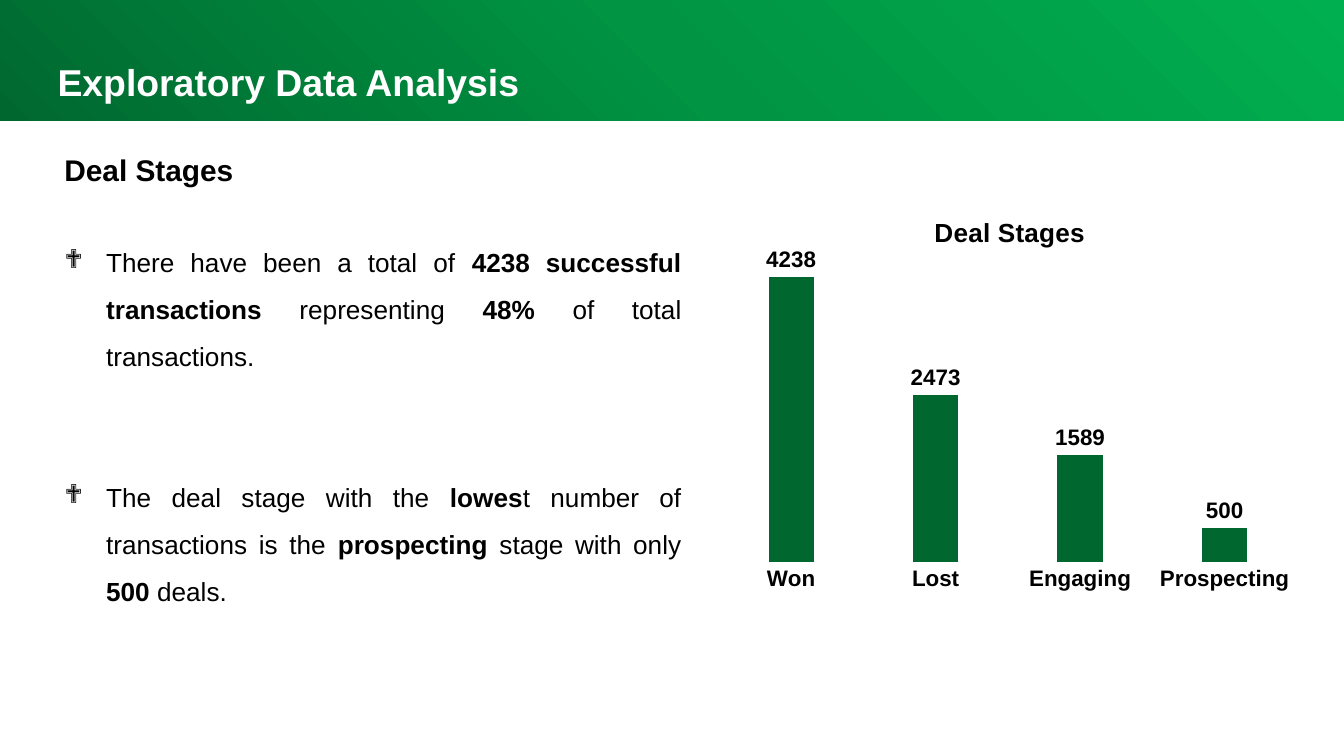
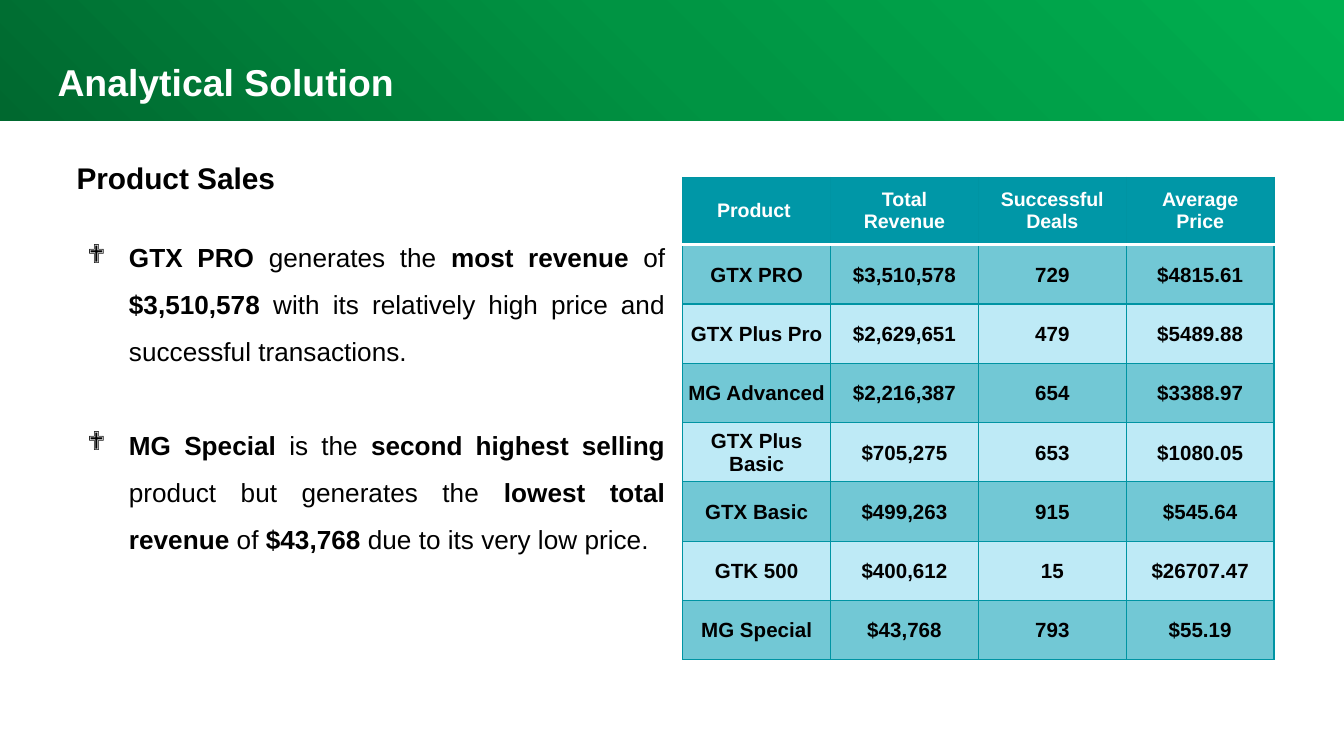
from pptx import Presentation
from pptx import util as u
from pptx.chart.data import CategoryChartData
from pptx.dml.color import RGBColor
from pptx.enum import chart as charts, shapes, text
from pptx.oxml import parse_xml
from pptx.oxml.ns import nsdecls, qn

FONT = "Arial"
WHITE, BLACK, DARK_GREEN = "FFFFFF", "000000", "00682F"
TEAL, BAND_TEAL, PALE_TEAL, BORDER = "0097A7", "72C8D5", "BEEAF6", "0094A3"
BAND_STOPS = {0: DARK_GREEN, 50: "009443", 100: "00B050"}


def color(value):
    return RGBColor.from_string(value)


def write(frame, *paragraphs, size=14, ink=BLACK, bold=False, align=None,
          spacing=None, gap=0, indent=0, bullet=None):
    """Fill a text frame; parts between ** are bold, gap separates paragraphs."""
    frame.word_wrap = True
    for number, content in enumerate(paragraphs):
        paragraph = frame.add_paragraph() if number else frame.paragraphs[0]
        properties = paragraph._p.get_or_add_pPr()
        properties.set("marL", str(u.Inches(indent)))
        if bullet:
            properties.set("indent", str(-u.Inches(indent)))
            properties.append(parse_xml(f'<a:buFont {nsdecls("a")} typeface="Wingdings"/>'))
            properties.append(parse_xml(f'<a:buChar {nsdecls("a")} char="{bullet}"/>'))
        paragraph.alignment = align
        if spacing:
            paragraph.line_spacing = spacing
        if number:
            paragraph.space_before = u.Pt(gap)
        for part, piece in enumerate(content.split("**")):
            if piece:
                run = paragraph.add_run()
                run.text = piece
                run.font.name, run.font.size = FONT, u.Pt(size)
                run.font.bold = bold or part % 2 == 1
                run.font.color.rgb = color(ink)


deck = Presentation()
deck.slide_width = u.Inches(10)
deck.slide_height = deck.slide_width * 9 // 16
unit = deck.slide_width // 100  # square grid, 100 columns across

topics = [
    dict(title="Exploratory Data Analysis", heading="Deal Stages",
         heading_at=(4.3, 10.8, 33.3, 3.7), body_at=(4.3, 16.7, 46.9, 32.8), gap=50,
         points=["There have been a total of **4238 successful transactions** representing "
                 "**48%** of total transactions.",
                 "The deal stage with the **lowes**t number of transactions is the "
                 "**prospecting** stage with only **500** deals."]),
    dict(title="Analytical Solution", heading="Product Sales",
         heading_at=(5.2, 11.4, 31.6, 3.7), body_at=(6, 16.3, 44, 32.8), gap=25,
         points=["**GTX PRO **generates the **most revenue **of **$3,510,578** with its "
                 "relatively high price and successful transactions.",
                 "**MG Special** is the **second highest selling** product but generates the "
                 "**lowest total revenue** of **$43,768 **due to its very low price."]),
]

slides = []
for topic in topics:
    slide = deck.slides.add_slide(deck.slide_layouts[6])
    slides.append(slide)

    band = slide.shapes.add_shape(shapes.MSO_SHAPE.RECTANGLE,
                                  *[int(n * unit) for n in (-0.2, -0.2, 100.5, 9.2)])
    band.shadow.inherit = False
    band.line.fill.background()
    band.fill.gradient()
    stops = "".join(f'<a:gs pos="{share * 1000}"><a:srgbClr val="{value}"/></a:gs>'
                    for share, value in BAND_STOPS.items())
    gradient = band._element.spPr.find(qn("a:gradFill"))
    gradient.getparent().replace(gradient, parse_xml(
        f'<a:gradFill {nsdecls("a")} rotWithShape="1"><a:gsLst>{stops}</a:gsLst>'
        '<a:path path="circle"><a:fillToRect t="100000" r="100000"/></a:path></a:gradFill>'))

    for at, inset, lines, look in (
        ((2.2, 2.9, 93.7, 5.6), 1, [topic["title"]],
         dict(size=20, ink=WHITE, bold=True, spacing=1.15, indent=0.11)),
        (topic["heading_at"], 0.5, [topic["heading"]], dict(size=16, bold=True)),
        (topic["body_at"], 0.5, topic["points"],
         dict(align=text.PP_ALIGN.JUSTIFY, spacing=1.5, gap=topic["gap"],
              indent=0.31, bullet="❖")),
    ):
        frame = slide.shapes.add_textbox(*[int(n * unit) for n in at]).text_frame
        frame.margin_left = frame.margin_right = int(inset * unit)
        frame.margin_top = frame.margin_bottom = int(inset * unit)
        write(frame, *lines, **look)

stages_slide, sales_slide = slides

# Deal stages chart
stages = CategoryChartData()
stages.categories = ["Won", "Lost", "Engaging", "Prospecting"]
stages.add_series("Series 1", [4238, 2473, 1589, 500])
chart = stages_slide.shapes.add_chart(
    charts.XL_CHART_TYPE.COLUMN_CLUSTERED,
    *[int(n * unit) for n in (52.6, 14.5, 44.8, 30)], stages).chart
chart.has_legend = False
chart.font.name, chart.font.size = FONT, u.Pt(10)
chart.font.color.rgb = color(BLACK)
chart.has_title = True
write(chart.chart_title.text_frame, "Deal Stages", size=14, bold=True)
chart.chart_title.include_in_layout = False

chart.value_axis.visible = False
chart.value_axis.has_major_gridlines = False
chart.value_axis.minimum_scale, chart.value_axis.maximum_scale = 0, 4500
stage_axis = chart.category_axis
stage_axis.major_tick_mark = charts.XL_TICK_MARK.NONE
stage_axis.format.line.fill.background()

plot = chart.plots[0]
plot.vary_by_categories = False
plot.gap_width, plot.overlap = 219, -27
deals = plot.series[0]
deals.format.fill.solid()
deals.format.fill.fore_color.rgb = color(DARK_GREEN)
labels = deals.data_labels
labels.show_value = True
labels.position = charts.XL_LABEL_POSITION.OUTSIDE_END
for font in (labels.font, stage_axis.tick_labels.font):
    font.name, font.size, font.bold = FONT, u.Pt(12), True
    font.color.rgb = color(BLACK)

plot_area = chart._chartSpace.find(".//" + qn("c:plotArea"))
for area, index, target, shares in (
    (chart.chart_title._element, 1, "", dict(x=0.37, y=0.04)),
    (plot_area, 0, '<c:layoutTarget val="inner"/>', dict(x=0.02, y=0.16, w=0.96, h=0.75)),
):
    for automatic in area.findall(qn("c:layout")):
        area.remove(automatic)
    modes = "".join(f'<c:{side}Mode val="edge"/>' for side in "xy")
    lengths = "".join(f'<c:{side} val="{share}"/>' for side, share in shares.items())
    area.insert(index, parse_xml(
        f'<c:layout {nsdecls("c")}><c:manualLayout>{target}{modes}{lengths}'
        '</c:manualLayout></c:layout>'))

# Product sales table
sales = [
    ("Product ", "Total Revenue", "Successful Deals", "Average Price"),
    ("GTX PRO", "$3,510,578", "729", "$4815.61"),
    ("GTX Plus Pro", "$2,629,651", "479", "$5489.88"),
    ("MG Advanced", "$2,216,387", "654", "$3388.97"),
    ("GTX Plus Basic", "$705,275", "653", "$1080.05"),
    ("GTX Basic", "$499,263", "915", "$545.64"),
    ("GTK 500", "$400,612", "15", "$26707.47"),
    ("MG Special", "$43,768", "793", "$55.19"),
]
table_height, header_height = 35.9, 5
record_height = (table_height - header_height) / (len(sales) - 1)
table = sales_slide.shapes.add_table(
    len(sales), len(sales[0]),
    *[int(n * unit) for n in (50.8, 13.2, 44, table_height)]).table
table.horz_banding = False
for row, record in enumerate(sales):
    header = row == 0
    table.rows[row].height = int((header_height if header else record_height) * unit)
    for column, value in enumerate(record):
        cell = table.cell(row, column)
        cell.vertical_anchor = text.MSO_ANCHOR.MIDDLE
        if not header:
            cell.margin_left = cell.margin_right = cell.margin_top = int(0.1 * unit)
            cell.margin_bottom = 0
        write(cell.text_frame, value, size=10.5 if header else 11, bold=True,
              ink=WHITE if header else BLACK, align=text.PP_ALIGN.CENTER)
        cell.fill.solid()
        cell.fill.fore_color.rgb = color(
            TEAL if header else BAND_TEAL if row % 2 else PALE_TEAL)
        for order, side in enumerate("LRTB"):
            under_header = (row, side) in ((0, "B"), (1, "T"))
            ink, width = (WHITE, 2) if under_header else (BORDER, 0.75)
            cell._tc.get_or_add_tcPr().insert(order, parse_xml(
                f'<a:ln{side} {nsdecls("a")} w="{u.Pt(width)}"><a:solidFill>'
                f'<a:srgbClr val="{ink}"/></a:solidFill></a:ln{side}>'))

deck.save("out.pptx")
